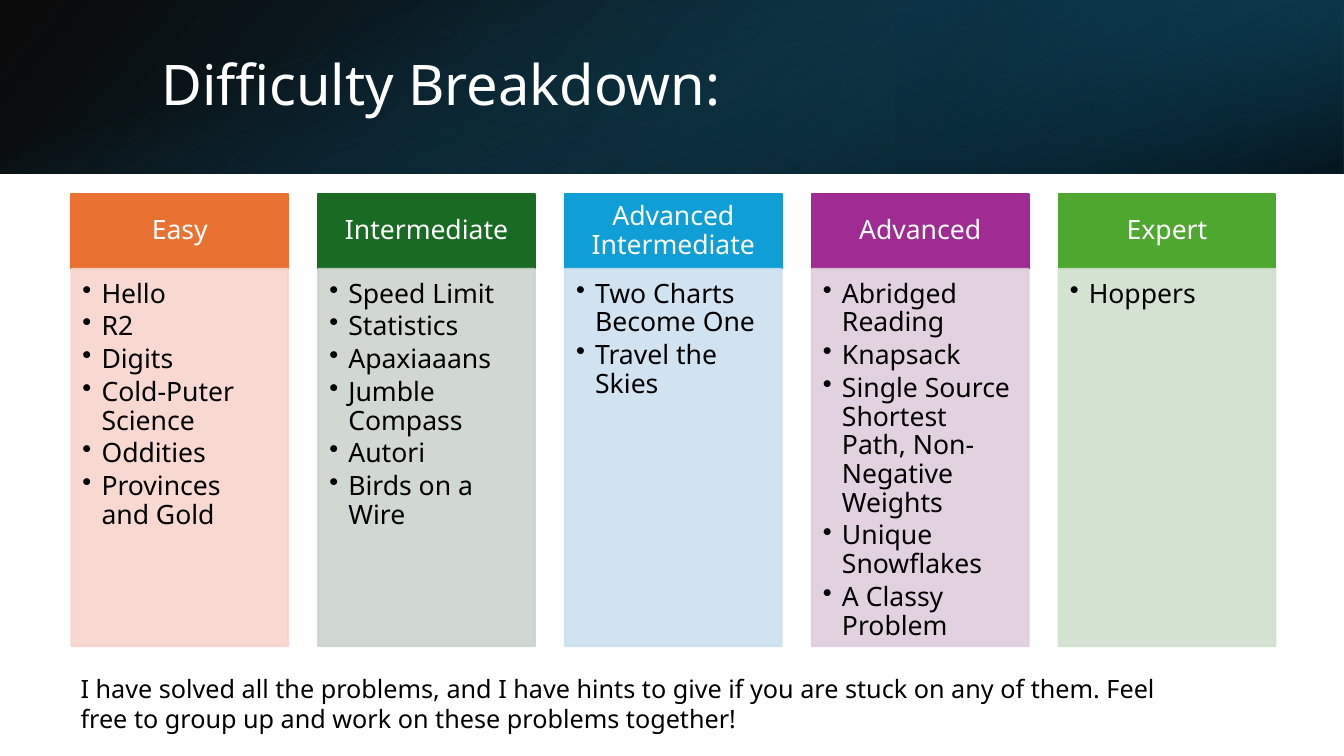
from lxml.etree import SubElement
from pptx import Presentation
from pptx.dml.color import RGBColor
from pptx.enum.shapes import MSO_SHAPE
from pptx.enum.text import MSO_ANCHOR, MSO_AUTO_SIZE, PP_ALIGN
from pptx.oxml import parse_xml
from pptx.oxml.ns import nsdecls, qn
from pptx.util import Cm, Pt

TITLE = "Difficulty Breakdown:"
LEVELS = [
    ("Easy", "orange", ["Hello", "R2", "Digits", "Cold-Puter Science",
                        "Oddities", "Provinces and Gold"]),
    ("Intermediate", "green", ["Speed Limit", "Statistics", "Apaxiaaans",
                               "Jumble Compass", "Autori", "Birds on a Wire"]),
    ("Advanced Intermediate", "blue", ["Two Charts Become One", "Travel the Skies"]),
    ("Advanced", "purple", ["Abridged Reading", "Knapsack",
                            "Single Source Shortest Path, Non-Negative Weights",
                            "Unique Snowflakes", "A Classy Problem"]),
    ("Expert", "lime", ["Hoppers"]),
]
NOTE = ("I have solved all the problems, and I have hints to give if you are stuck on any "
        "of them. Feel free to group up and work on these problems together!")

FONT = "Noto Sans"
COLOURS = {
    "white": "FFFFFF", "black": "000000",
    "navy": "104862", "deep": "0B3041", "teal": "156082",
    "orange": "E97132", "orange tint": "F7D5CE",
    "green": "196B24", "green tint": "CCD4CD",
    "blue": "0F9ED5", "blue tint": "CCDFEF",
    "purple": "A02B93", "purple tint": "DFCDDC",
    "lime": "4EA72E", "lime tint": "D0E1CD",
}

# Lengths in centimetres
SLIDE_WIDTH, SLIDE_HEIGHT, BANNER_HEIGHT = 33.87, 19.05, 4.37
GLOW_LEFT = 22.58
COLUMN_LEFT, COLUMN_PITCH, COLUMN_WIDTH = 1.8, 6.22, 5.46
HEADER_TOP, HEADER_HEIGHT, LIST_HEIGHT = 4.88, 1.9, 9.5
BULLET_INDENT = 0.48

# Place, rotation, flip, gradient angle, stops of (position, colour, opacity)
BANNER_LAYERS = [
    ((0, 0, SLIDE_WIDTH, BANNER_HEIGHT), 0, True, 140,
     [(0, "black", 96), (100, "navy", 100)]),
    ((GLOW_LEFT, 0, SLIDE_WIDTH - GLOW_LEFT, BANNER_HEIGHT), 180, True, 320,
     [(19, "deep", 68), (100, "teal", 79)]),
    (((SLIDE_WIDTH - BANNER_HEIGHT) / 2, (BANNER_HEIGHT - SLIDE_WIDTH) / 2,
      BANNER_HEIGHT, SLIDE_WIDTH), 90, False, 340,
     [(23, "teal", 0), (99, "black", 74)]),
]


def colour(name):
    return RGBColor.from_string(COLOURS[name])


def set_values(target, values):
    for name, value in values.items():
        setattr(target, name, value)


def add_rectangle(page, place):
    box = page.shapes.add_shape(MSO_SHAPE.RECTANGLE, *map(Cm, place))
    box.shadow.inherit = False
    return box


def add_banner_layer(page, place, rotation, flipped, angle, stops):
    layer = add_rectangle(page, place)
    layer.rotation = rotation
    layer.line.fill.background()
    properties = layer._element.spPr
    if flipped:
        properties.xfrm.set("flipH", "1")
    stop_xml = "".join(
        f'<a:gs pos="{position * 1000}"><a:srgbClr val="{COLOURS[name]}">'
        f'<a:alpha val="{opacity * 1000}"/></a:srgbClr></a:gs>'
        for position, name, opacity in stops)
    gradient = parse_xml(
        f'<a:gradFill {nsdecls("a")} rotWithShape="1"><a:gsLst>{stop_xml}</a:gsLst>'
        f'<a:lin ang="{angle * 60000}" scaled="0"/></a:gradFill>')
    properties.find(qn("a:prstGeom")).addnext(gradient)


def add_panel(page, place, name, opacity=100):
    """Add a rectangle whose fill and outline share one colour."""
    panel = add_rectangle(page, place)
    panel.fill.solid()
    panel.line.width = Pt(1.5)
    for fill in (panel.fill, panel.line.fill):
        fill.solid()
        fill.fore_color.rgb = colour(name)
    if opacity < 100:
        for shade in panel._element.spPr.iter(qn("a:srgbClr")):
            SubElement(shade, qn("a:alpha")).set("val", str(opacity * 1000))
    return panel


def write(box, lines, size, name, frame_format, para_format, bulleted=False):
    frame = box.text_frame
    set_values(frame, {"word_wrap": True, **frame_format})
    for index, line in enumerate(lines):
        para = frame.paragraphs[0] if index == 0 else frame.add_paragraph()
        set_values(para, para_format)
        span = para.add_run()
        span.text = line
        set_values(span.font, {"name": FONT, "size": Pt(size)})
        span.font.color.rgb = colour(name)
        if bulleted:
            properties = para._p.get_or_add_pPr()
            properties.set("marL", str(Cm(BULLET_INDENT)))
            properties.set("indent", str(-Cm(BULLET_INDENT)))
            SubElement(properties, qn("a:buChar")).set("char", "•")


def margins(left, top, right, bottom):
    sides = ("margin_left", "margin_top", "margin_right", "margin_bottom")
    return dict(zip(sides, map(Cm, (left, top, right, bottom))))


def add_level(page, left, heading, name, problems):
    header = add_panel(page, (left, HEADER_TOP, COLUMN_WIDTH, HEADER_HEIGHT), name)
    write(header, [heading], 19, "white",
          {"vertical_anchor": MSO_ANCHOR.MIDDLE, **margins(0.38, 0.2, 0.38, 0.2)},
          {"alignment": PP_ALIGN.CENTER, "line_spacing": 0.9})
    place = (left, HEADER_TOP + HEADER_HEIGHT, COLUMN_WIDTH, LIST_HEIGHT)
    problem_list = add_panel(page, place, f"{name} tint", 90)
    write(problem_list, problems, 19, "black",
          {"vertical_anchor": MSO_ANCHOR.TOP, **margins(0.28, 0.28, 0.38, 0.43)},
          {"alignment": PP_ALIGN.LEFT, "line_spacing": 0.9, "space_after": Pt(2.85)},
          bulleted=True)


def main():
    deck = Presentation()
    deck.slide_width, deck.slide_height = Cm(SLIDE_WIDTH), Cm(SLIDE_HEIGHT)
    page = deck.slides.add_slide(deck.slide_layouts[5])

    for layer in BANNER_LAYERS:
        add_banner_layer(page, *layer)

    title = page.shapes.title
    set_values(title, {"left": Cm(3.81), "top": Cm(0.97),
                       "width": Cm(27.89), "height": Cm(2.44)})
    write(title, [TITLE], 40, "white",
          {"vertical_anchor": MSO_ANCHOR.MIDDLE, "auto_size": MSO_AUTO_SIZE.NONE},
          {"alignment": PP_ALIGN.LEFT, "line_spacing": 0.9})
    page.shapes._spTree.append(title._element)  # bring the title above the banner

    for index, level in enumerate(LEVELS):
        add_level(page, COLUMN_LEFT + index * COLUMN_PITCH, *level)

    note = page.shapes.add_textbox(Cm(1.78), Cm(16.84), Cm(28.27), Cm(1.8))
    write(note, [NOTE], 18, "black", {"auto_size": MSO_AUTO_SIZE.SHAPE_TO_FIT_TEXT}, {})

    deck.save("out.pptx")


if __name__ == "__main__":
    main()
